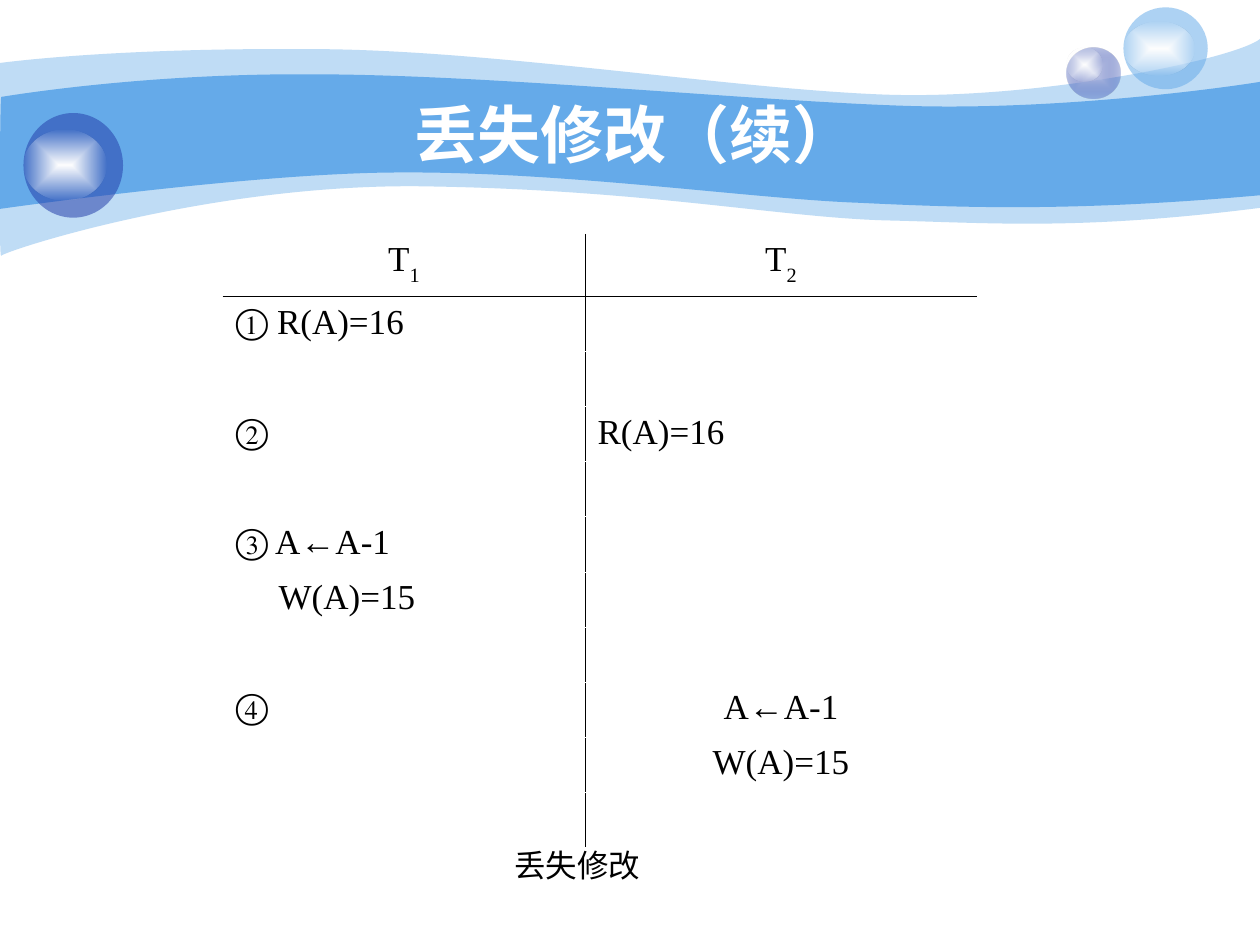
import pptx
import pptx.util
import pptx.dml.color
import pptx.enum.shapes
import pptx.enum.text
import pptx.oxml
import pptx.oxml.ns

Pt = pptx.util.Pt
RGBColor = pptx.dml.color.RGBColor
qn = pptx.oxml.ns.qn
CENTER = pptx.enum.text.PP_ALIGN.CENTER
TOP = pptx.enum.text.MSO_ANCHOR.TOP
MIDDLE = pptx.enum.text.MSO_ANCHOR.MIDDLE
OVAL = pptx.enum.shapes.MSO_SHAPE.OVAL
NS = pptx.oxml.ns.nsdecls("a")

SKY = RGBColor(0x65, 0xAA, 0xE9)
NAVY = RGBColor(0x23, 0x3D, 0xA9)
LAVENDER = RGBColor(0xC7, 0xCE, 0xE9)
WHITE = RGBColor(0xFF, 0xFF, 0xFF)
BLACK = RGBColor(0, 0, 0)


def bend(shape, starts):
    segments = list(shape._element.iter(qn("a:lnTo")))
    for start in starts:
        first, *others = segments[start:start + 3]
        curve = pptx.oxml.parse_xml(f'<a:cubicBezTo {NS}/>')
        first.addprevious(curve)
        for segment in [first, *others]:
            curve.append(segment[0])
            segment.getparent().remove(segment)


def paint(shape, stops):
    shape.shadow.inherit = False
    shape.line.fill.background()
    shape.fill.background()
    colors = [f'<a:srgbClr val="{color}"><a:alpha val="{alpha * 1000}"/></a:srgbClr>'
              for color, alpha in stops]
    if len(colors) == 1:
        xml = f'<a:solidFill {NS}>{colors[0]}</a:solidFill>'
    else:
        xml = (f'<a:gradFill {NS} rotWithShape="1"><a:gsLst><a:gs pos="0">{colors[0]}</a:gs>'
               f'<a:gs pos="100000">{colors[1]}</a:gs></a:gsLst><a:path path="rect">'
               '<a:fillToRect l="50000" t="50000" r="50000" b="50000"/></a:path></a:gradFill>')
    properties = shape._element.spPr
    properties.replace(properties.find(qn("a:noFill")), pptx.oxml.parse_xml(xml))


deck = pptx.Presentation()
deck.slide_width, deck.slide_height = Pt(720), Pt(540)
slide = deck.slides.add_slide(deck.slide_layouts[6])

waves = [
    ([(0, 36), (17.3, 33.8), (77, 27.4), (177.8, 28.1), (277.9, 28.1), (414, 50.4),
      (503.3, 54), (591.8, 57.6), (705.6, 33.8), (720, 22.3)],
     [(720, 118.8), (617.8, 131.8), (566.6, 127.4), (507.6, 126), (447.8, 124.6),
      (370.8, 108.7), (247, 106.6), (123.8, 103.7), (2.9, 143.3), (0.7, 146.2)],
     [(-0.7, 149.8), (0, 54), (0, 36)], 41),
    ([(0.7, 55.4), (1.4, 55.4), (79.2, 41.8), (178.6, 42.5), (277.9, 42.5), (428.4, 57.6),
      (517, 60.5), (605.5, 63.4), (702.7, 49.7), (720, 46.8)],
     [(720, 111.6), (614.2, 121), (550.8, 118.8), (491, 115.9), (431.3, 113.8),
      (321.8, 97.9), (228.2, 98.6), (146.2, 98.6), (-1.4, 119.5), (-0.7, 119.5)],
     [(0, 119.5), (0, 55.4), (0.7, 55.4)], 100),
]
for upper, lower, left_end, opacity in waves:
    outline = [(Pt(x), Pt(y)) for x, y in upper + lower + left_end]
    builder = slide.shapes.build_freeform(*outline[0])
    builder.add_line_segments(outline[1:], close=True)
    wave = builder.convert_to_shape()
    bend(wave, (0, 3, 6, 10, 13, 16, 19))
    paint(wave, [(SKY, opacity)])

glow = [(WHITE, 100), (WHITE, 0)]
bubbles = [
    ((609.8, 27.2, 30.4, 29), [(LAVENDER, 100), (NAVY, 31)], (609.8, 27.2, 20.2, 19.4)),
    ((642, 4.2, 48.2, 46.8), [(SKY, 53)], (642, 12.2, 40.3, 31)),
    ((13.4, 64.6, 56.9, 59.8), [(NAVY, 53)], (13.4, 74.2, 47.5, 40.3)),
]
for ball, stops, highlight in bubbles:
    bubble = slide.shapes.add_group_shape().shapes
    paint(bubble.add_shape(OVAL, *map(Pt, ball)), stops)
    paint(bubble.add_shape(OVAL, *map(Pt, highlight)), glow)

captions = [
    ("丢失修改（续）", (72, 54, 581.8, 44.6), "Arial", 36, WHITE, True, True, MIDDLE),
    ("丢失修改", (259.7, 479.8, 140.4, 28.8), "Times New Roman", 18, BLACK, False, False, TOP),
]
for text, box, font, size, color, bold, wrap, anchor in captions:
    frame = slide.shapes.add_textbox(*map(Pt, box)).text_frame
    frame.word_wrap = wrap
    frame.vertical_anchor = anchor
    caption = frame.paragraphs[0]
    caption.text = text
    caption.alignment = CENTER
    caption.font.name, caption.font.size, caption.font.bold = font, Pt(size), bold
    caption.font.color.rgb = color

schedule = [
    ("T1", "T2"),
    ("① R(A)=16", ""),
    ("", ""),
    ("②", "R(A)=16"),
    ("", ""),
    ("③ A←A-1", ""),
    ("W(A)=15", ""),
    ("", ""),
    ("④", "A←A-1"),
    ("", "W(A)=15"),
    ("", ""),
]
centered = {(0, 0), (0, 1), (8, 1), (9, 1)}
continued = {(6, 0)}
table = slide.shapes.add_table(len(schedule), 2, Pt(127.4), Pt(133.9), Pt(430.9), Pt(350.2)).table
table.first_row = table.horz_banding = False
table.columns[0].width, table.columns[1].width = Pt(206.9), Pt(224)

for r, entries in enumerate(schedule):
    table.rows[r].height = Pt(31.45 if r else 35.7)
    for c, entry in enumerate(entries):
        cell = table.cell(r, c)
        borders = {
            "lnL": BLACK if c == 1 else WHITE,
            "lnR": BLACK if c == 0 else WHITE,
            "lnT": BLACK if r == 1 else WHITE,
            "lnB": BLACK if r == 0 else WHITE,
        }
        for side, color in borders.items():
            cell._tc.get_or_add_tcPr().append(pptx.oxml.parse_xml(
                f'<a:{side} {NS} w="5715"><a:solidFill><a:srgbClr val="{color}"/>'
                f'</a:solidFill></a:{side}>'))
        cell.fill.background()
        line = cell.text_frame.paragraphs[0]
        if r == 0:
            line.add_run().text = entry[0]
            subscript = line.add_run()
            subscript.text = entry[1]
            subscript.font._element.set("baseline", "-30000")
        elif entry:
            line.text = entry
        if (r, c) in centered:
            line.alignment = CENTER
        if (r, c) in continued:
            line._p.get_or_add_pPr().set("marL", str(Pt(24.6)))
        line.font.name, line.font.size = "Times New Roman", Pt(20)
        line.font.color.rgb = BLACK

deck.save("out.pptx")
